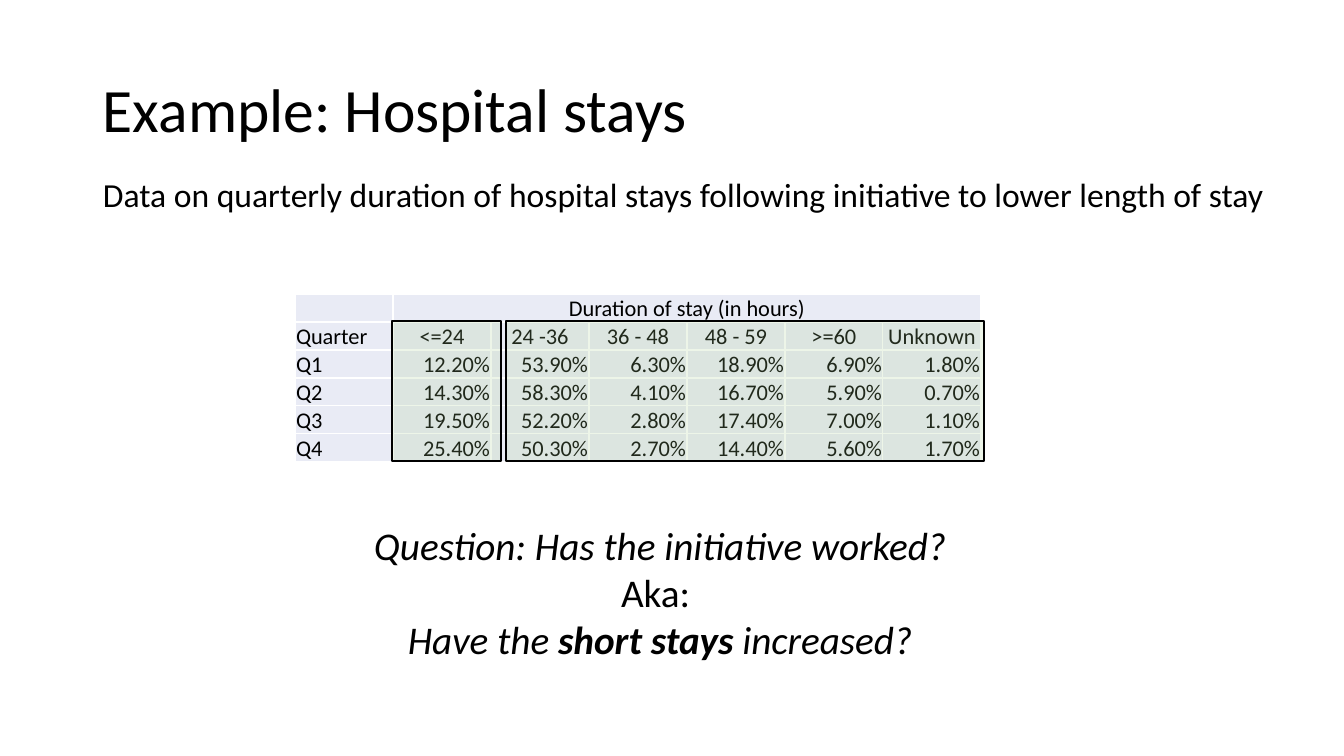
from lxml import etree
from pptx import Presentation
from pptx.dml.color import RGBColor
from pptx.enum.shapes import MSO_SHAPE as Shape
from pptx.enum.text import MSO_ANCHOR as Anchor, PP_ALIGN as Align
from pptx.oxml.ns import qn
from pptx.util import Pt

# Content: each paragraph is a list of (text, bold, italic)
TITLE = [[("Example: Hospital stays", False, False)]]
INTRO = [[("Data on quarterly duration of hospital stays following "
           "initiative to lower length of stay", False, False)]]
QUESTION = [
    [("Question: Has the initiative worked?", False, True)],
    [("Aka: ", False, False)],
    [("Have the ", False, True), ("short stays", True, True),
     (" increased?", False, True)],
]
STAYS = [
    ["", "Duration of stay (in hours)", "", "", "", "", ""],
    ["Quarter", "<=24", "24 -36", "36 - 48", "48 - 59", ">=60", "Unknown"],
    ["Q1", "12.20%", "53.90%", "6.30%", "18.90%", "6.90%", "1.80%"],
    ["Q2", "14.30%", "58.30%", "4.10%", "16.70%", "5.90%", "0.70%"],
    ["Q3", "19.50%", "52.20%", "2.80%", "17.40%", "7.00%", "1.10%"],
    ["Q4", "25.40%", "50.30%", "2.70%", "14.40%", "5.60%", "1.70%"],
]
HEADER_ROWS = 2

FONT = "Calibri"
BLACK = RGBColor(0x00, 0x00, 0x00)
CELL_FILL = RGBColor(0xE9, 0xEB, 0xF5)
HIGHLIGHT = RGBColor(0xA9, 0xD1, 0x8E)

# Layout in px
PAGE_WIDTH, PAGE_HEIGHT = 1344, 756
MARGIN_LEFT = 93
TABLE_LEFT, TABLE_TOP = 295, 294
COLUMN_WIDTH, ROW_HEIGHT = 98, 28
HIGHLIGHT_TOP, HIGHLIGHT_HEIGHT = 321, 140
HIGHLIGHTS = [(392, 109), (506, 478)]  # left, width


def px(length):
    return round(length * 914400 / 100.8)


def add_span(para, text, size, bold=False, italic=False):
    span = para.add_run()
    span.text = text
    span.font.name = FONT
    span.font.size = Pt(size)
    span.font.color.rgb = BLACK
    span.font.bold = bold
    span.font.italic = italic


def add_text(page, frame, paragraphs, size, align=Align.LEFT,
             anchor=Anchor.TOP, wrap=True, spacing=1.0):
    box = page.shapes.add_textbox(*map(px, frame))
    text = box.text_frame
    text.word_wrap = wrap
    text.vertical_anchor = anchor
    for index, spans in enumerate(paragraphs):
        para = text.add_paragraph() if index else text.paragraphs[0]
        para.alignment = align
        para.line_spacing = spacing
        for words, bold, italic in spans:
            add_span(para, words, size, bold, italic)


def add_stays_table(page):
    row_count, column_count = len(STAYS), len(STAYS[0])
    table = page.shapes.add_table(
        row_count, column_count, px(TABLE_LEFT), px(TABLE_TOP),
        px(COLUMN_WIDTH * column_count), px(ROW_HEIGHT * row_count)).table
    table.first_row = False
    table.horz_banding = False
    for column in table.columns:
        column.width = px(COLUMN_WIDTH)
    for row in table.rows:
        row.height = px(ROW_HEIGHT)
    for r, values in enumerate(STAYS):
        for c, value in enumerate(values):
            cell = table.cell(r, c)
            cell.fill.solid()
            cell.fill.fore_color.rgb = CELL_FILL
            cell.vertical_anchor = Anchor.BOTTOM
            cell.margin_left = cell.margin_right = cell.margin_top = px(1)
            cell.margin_bottom = 0
            para = cell.text_frame.paragraphs[0]
            if value:
                add_span(para, value, 16)
            else:
                # Keeps empty cells as low as the filled ones
                etree.SubElement(para._p, qn("a:endParaRPr"), sz="1600")
            if c == 0:
                para.alignment = Align.LEFT
            else:
                para.alignment = Align.CENTER if r < HEADER_ROWS else Align.RIGHT
    table.cell(0, 1).merge(table.cell(0, column_count - 1))


def add_highlight(page, left, width):
    box = page.shapes.add_shape(Shape.RECTANGLE, px(left), px(HIGHLIGHT_TOP),
                                px(width), px(HIGHLIGHT_HEIGHT))
    box.shadow.inherit = False
    box.fill.solid()
    box.fill.fore_color.rgb = HIGHLIGHT
    color = box.fill._xPr.find(qn("a:solidFill"))[0]
    etree.SubElement(color, qn("a:alpha"), val="20000")
    box.line.color.rgb = BLACK
    box.line.width = Pt(1)


def main():
    deck = Presentation()
    deck.slide_width, deck.slide_height = px(PAGE_WIDTH), px(PAGE_HEIGHT)
    page = deck.slides.add_slide(deck.slide_layouts[6])

    # Title, table and text
    add_text(page, (MARGIN_LEFT, 40, 1159, 146), TITLE, 44,
             anchor=Anchor.MIDDLE, spacing=0.9)
    add_stays_table(page)
    add_text(page, (MARGIN_LEFT, 169, 1191, 50), INTRO, 24, wrap=False)
    add_text(page, (324, 516, 672, 152), QUESTION, 28, align=Align.CENTER)

    # Frames around the short stays and the other stays
    for left, width in HIGHLIGHTS:
        add_highlight(page, left, width)

    deck.save("out.pptx")


if __name__ == "__main__":
    main()
